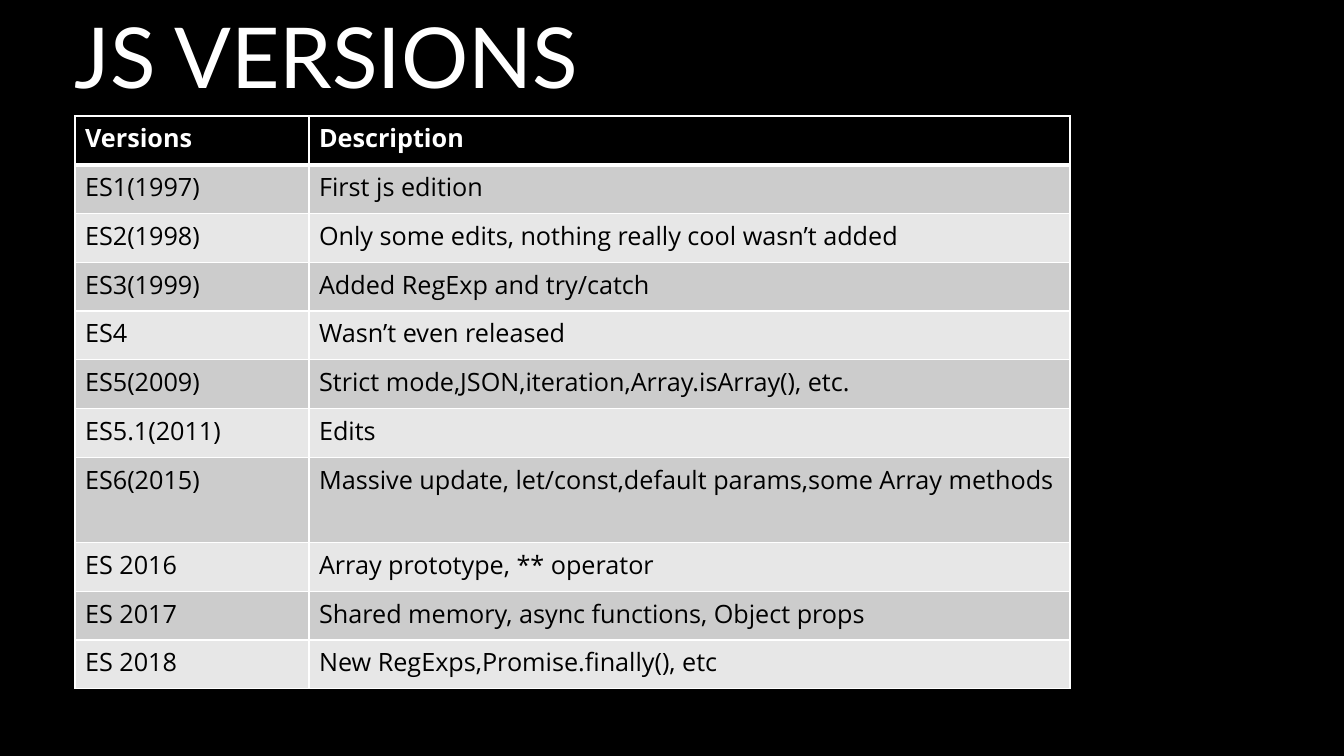
import pptx
import pptx.util
import pptx.dml.color
import pptx.enum.text
import pptx.oxml.ns
from lxml import etree

TITLE = "JS VERSIONS"
ROWS = [
    ("Versions", "Description"),
    ("ES1(1997)", "First js edition"),
    ("ES2(1998)", "Only some edits, nothing really cool wasn’t added"),
    ("ES3(1999)", "Added RegExp and try/catch"),
    ("ES4", "Wasn’t even released"),
    ("ES5(2009)", "Strict mode,JSON,iteration,Array.isArray(), etc."),
    ("ES5.1(2011)", "Edits"),
    ("ES6(2015)", "Massive update, let/const,default params,some Array methods"),
    ("ES 2016", "Array prototype, ** operator"),
    ("ES 2017", "Shared memory, async functions, Object props"),
    ("ES 2018", "New RegExps,Promise.finally(), etc"),
]
COLS = (234, 761)
LEFT, TOP, HIGH = 75, 116, 573
TALL, TALL_HIGH = 7, 85

BLACK = pptx.dml.color.RGBColor(0, 0, 0)
WHITE = pptx.dml.color.RGBColor(255, 255, 255)
DARK = pptx.dml.color.RGBColor(0xCC, 0xCC, 0xCC)
LIGHT = pptx.dml.color.RGBColor(0xE7, 0xE7, 0xE7)


def px(n):
    return pptx.util.Emu(round(n * 914400 / 100.8))


def write(frame, text, size=18, font="Open Sans", color=BLACK, bold=False):
    run = frame.paragraphs[0].add_run()
    run.text = text
    run.font.size = pptx.util.Pt(size)
    run.font.name = font
    run.font.color.rgb = color
    run.font.bold = bold


def edge(cell, side, width):
    """Draw a white border on one side (L, R, T or B), width in points."""
    qn = pptx.oxml.ns.qn
    props = cell._tc.get_or_add_tcPr()
    line = etree.SubElement(props, qn("a:ln" + side), w=str(pptx.util.Pt(width)))
    fill = etree.SubElement(line, qn("a:solidFill"))
    etree.SubElement(fill, qn("a:srgbClr"), val=str(WHITE))


def add_title(slide):
    box = slide.shapes.add_textbox(px(LEFT), 0, px(1193), px(111))
    frame = box.text_frame
    frame.word_wrap = True
    frame.margin_left = 0
    frame.vertical_anchor = pptx.enum.text.MSO_ANCHOR.TOP
    write(frame, TITLE, size=60, font="Lato", color=WHITE)


def add_grid(slide):
    table = slide.shapes.add_table(
        len(ROWS), len(COLS), px(LEFT), px(TOP), px(sum(COLS)), px(HIGH)
    ).table
    for col, wide in zip(table.columns, COLS):
        col.width = px(wide)
    step = (HIGH - TALL_HIGH) / (len(ROWS) - 1)
    for r, texts in enumerate(ROWS):
        head = r == 0
        table.rows[r].height = px(TALL_HIGH if r == TALL else step)
        for c, text in enumerate(texts):
            cell = table.cell(r, c)
            for side in "LRTB":
                thick = (r, side) in ((0, "B"), (1, "T"))
                edge(cell, side, 3 if thick else 1)
            cell.fill.solid()
            cell.fill.fore_color.rgb = BLACK if head else DARK if r % 2 else LIGHT
            write(cell.text_frame, text, color=WHITE if head else BLACK, bold=head)


def main():
    deck = pptx.Presentation()
    deck.slide_width, deck.slide_height = px(1344), px(756)
    slide = deck.slides.add_slide(deck.slide_layouts[6])
    slide.background.fill.solid()
    slide.background.fill.fore_color.rgb = BLACK
    add_title(slide)
    add_grid(slide)
    deck.save("out.pptx")


if __name__ == "__main__":
    main()
